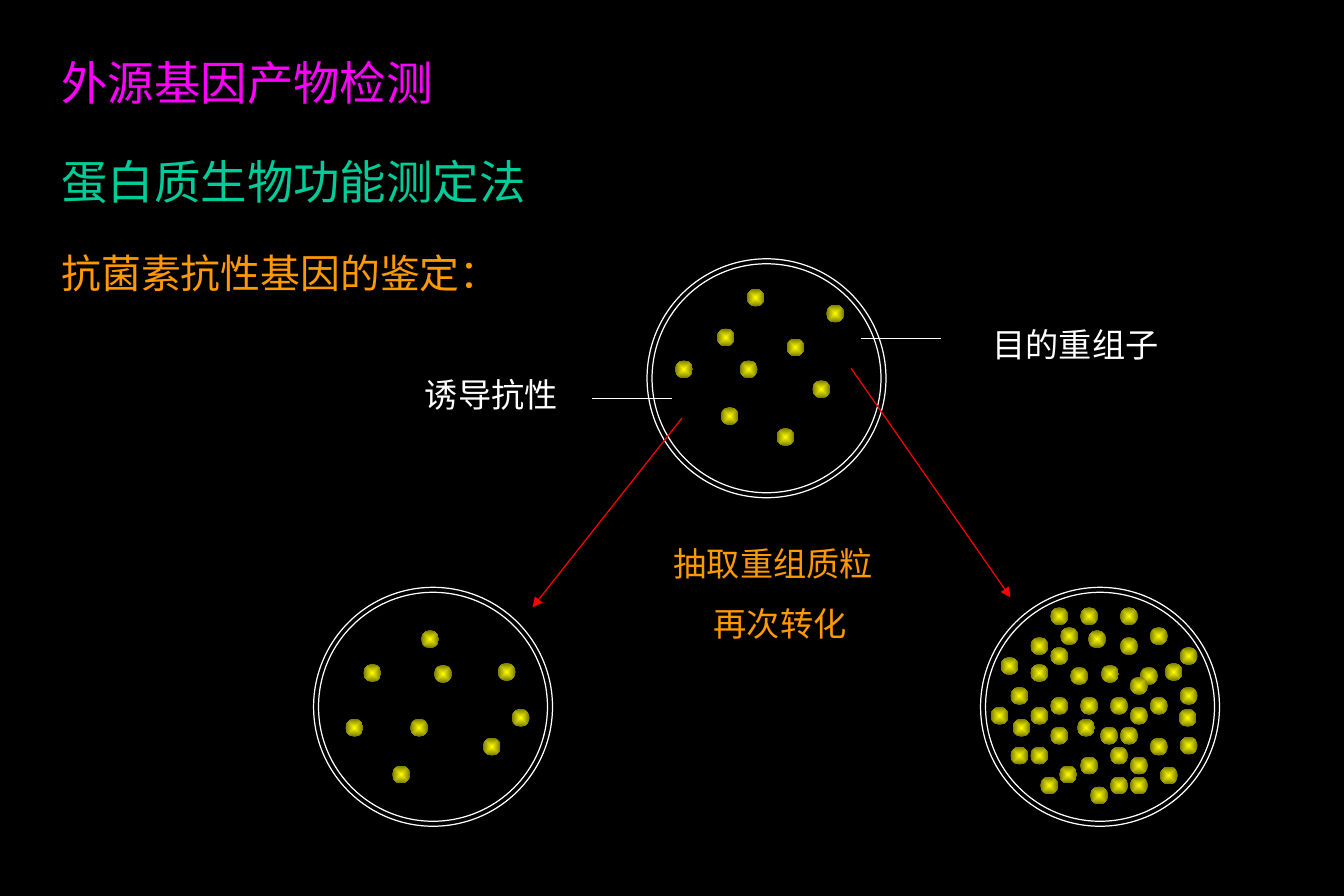
from dataclasses import dataclass

from lxml.etree import SubElement
from pptx import Presentation
from pptx.dml.color import RGBColor as Rgb
from pptx.enum.shapes import MSO_CONNECTOR as Conn, MSO_SHAPE as Kind
from pptx.oxml.ns import qn
from pptx.shapes.autoshape import Shape
from pptx.slide import Slide
from pptx.util import Emu, Pt

PX = 7620  # 120 px to the inch


@dataclass(frozen=True)
class Theme:
    back: str = "000000"
    title: str = "FF00FF"
    method: str = "00CC99"
    accent: str = "FF9900"
    plain: str = "FFFFFF"
    arrow: str = "FF0000"
    core: str = "FFFF00"
    rim: str = "777700"
    latin: str = "Arial"
    cjk: str = "Noto Sans CJK SC"
    big: int = 28
    mid: int = 24
    small: int = 20
    line: float = 0.75


@dataclass(frozen=True)
class Label:
    text: str
    x: int
    y: int
    w: int
    h: int
    size: int
    color: str
    font: str


@dataclass(frozen=True)
class Plate:
    x: int
    y: int
    dots: list[tuple[int, int]]


@dataclass(frozen=True)
class Line:
    x1: int
    y1: int
    x2: int
    y2: int
    color: str
    arrow: bool = False


T = Theme()
DISH, INSET, DOT = 240, 5, 18

# Colony places are measured from the top left of their plate.
FIRST = [(180, 46), (140, 80), (70, 70), (28, 102), (74, 149),
         (166, 122), (130, 170), (93, 102), (100, 30)]
AGAIN = [(185, 76), (199, 122), (50, 77), (32, 132), (79, 179),
         (170, 151), (108, 43), (97, 132), (121, 78)]
ROWS = {
    20: (70, 100, 140), 40: (80, 170), 50: (50, 140), 60: (70, 200),
    70: (20,), 80: (90, 160), 90: (150,), 100: (30, 200),
    110: (70, 100, 130, 170), 120: (10, 50, 150), 140: (70, 120, 140),
    150: (200,), 160: (30, 50, 130), 170: (100, 150), 180: (180,),
    190: (60, 130, 150), 200: (110,),
}
DENSE = AGAIN + [(x, y) for y, row in ROWS.items() for x in row]

PLATES = [Plate(650, 260, FIRST), Plate(315, 590, AGAIN), Plate(985, 590, DENSE)]
LABELS = [
    Label("外源基因产物检测", 50, 20, 480, 110, T.big, T.title, T.latin),
    Label("蛋白质生物功能测定法", 50, 120, 520, 92, T.big, T.method, T.latin),
    Label("抗菌素抗性基因的鉴定：", 50, 220, 470, 92, T.mid, T.accent, T.cjk),
    Label("目的重组子", 985, 300, 200, 90, T.small, T.plain, T.cjk),
    Label("诱导抗性", 415, 350, 200, 90, T.small, T.plain, T.cjk),
    Label("抽取重组质粒", 665, 520, 230, 90, T.small, T.accent, T.cjk),
    Label("再次转化", 705, 580, 170, 90, T.small, T.accent, T.cjk),
]
LINES = [
    Line(675, 400, 595, 400, T.plain),
    Line(945, 340, 865, 340, T.plain),
    Line(685, 420, 535, 610, T.arrow, True),
    Line(855, 370, 1015, 600, T.arrow, True),
]


def px(*vals: int) -> list[Emu]:
    return [Emu(v * PX) for v in vals]


def add_oval(slide: Slide, x: int, y: int, size: int) -> Shape:
    oval = slide.shapes.add_shape(Kind.OVAL, *px(x, y, size, size))
    oval.shadow.inherit = False
    return oval


def add_ring(slide: Slide, x: int, y: int, size: int) -> None:
    ring = add_oval(slide, x, y, size)
    ring.fill.background()
    ring.line.color.rgb = Rgb.from_string(T.plain)
    ring.line.width = Pt(T.line)


def add_dot(slide: Slide, x: int, y: int) -> None:
    """Draw a colony that is bright in the middle and dark at the rim."""
    dot = add_oval(slide, x, y, DOT)
    dot.line.fill.background()
    dot.fill.gradient()
    for stop, color in zip(dot.fill.gradient_stops, (T.core, T.rim)):
        stop.color.rgb = Rgb.from_string(color)
    grad = dot._element.spPr.find(qn("a:gradFill"))
    grad.remove(grad.find(qn("a:lin")))
    focus = SubElement(grad, qn("a:path"), path="rect")
    SubElement(focus, qn("a:fillToRect"), dict.fromkeys("ltrb", "50000"))


def add_plate(slide: Slide, plate: Plate) -> None:
    add_ring(slide, plate.x + INSET, plate.y + INSET, DISH - 2 * INSET)
    add_ring(slide, plate.x, plate.y, DISH)
    for x, y in plate.dots:
        add_dot(slide, plate.x + x, plate.y + y)


def add_label(slide: Slide, label: Label) -> None:
    box = slide.shapes.add_textbox(*px(label.x, label.y, label.w, label.h))
    frame = box.text_frame
    frame.word_wrap = True
    frame.text = label.text
    para = frame.paragraphs[0]
    para.line_spacing = 1.5
    run = para.runs[0]
    run.font.size = Pt(label.size)
    run.font.name = label.font
    run.font.color.rgb = Rgb.from_string(label.color)
    SubElement(run._r.get_or_add_rPr(), qn("a:ea"), typeface=T.cjk)


def add_line(slide: Slide, line: Line) -> None:
    ends = px(line.x1, line.y1, line.x2, line.y2)
    link = slide.shapes.add_connector(Conn.STRAIGHT, *ends)
    link.line.color.rgb = Rgb.from_string(line.color)
    link.line.width = Pt(T.line)
    if line.arrow:
        SubElement(link.line._get_or_add_ln(), qn("a:tailEnd"), type="triangle")
    SubElement(link._element.spPr, qn("a:effectLst"))


def main() -> None:
    deck = Presentation()
    deck.slide_width, deck.slide_height = px(1350, 900)
    slide = deck.slides.add_slide(deck.slide_layouts[6])
    slide.background.fill.solid()
    slide.background.fill.fore_color.rgb = Rgb.from_string(T.back)
    for plate in PLATES:
        add_plate(slide, plate)
    for label in LABELS:
        add_label(slide, label)
    for line in LINES:
        add_line(slide, line)
    deck.save("out.pptx")


if __name__ == "__main__":
    main()
